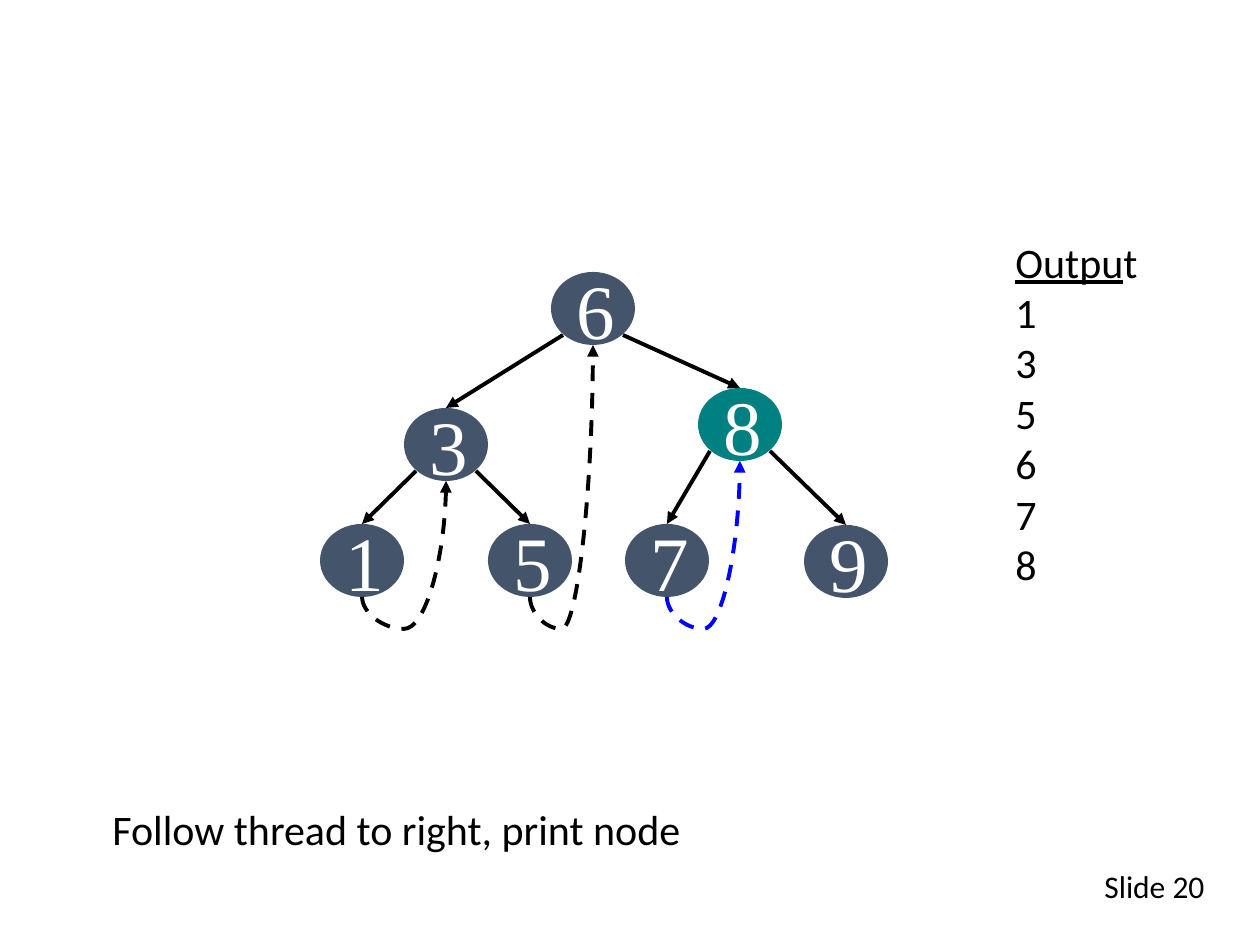
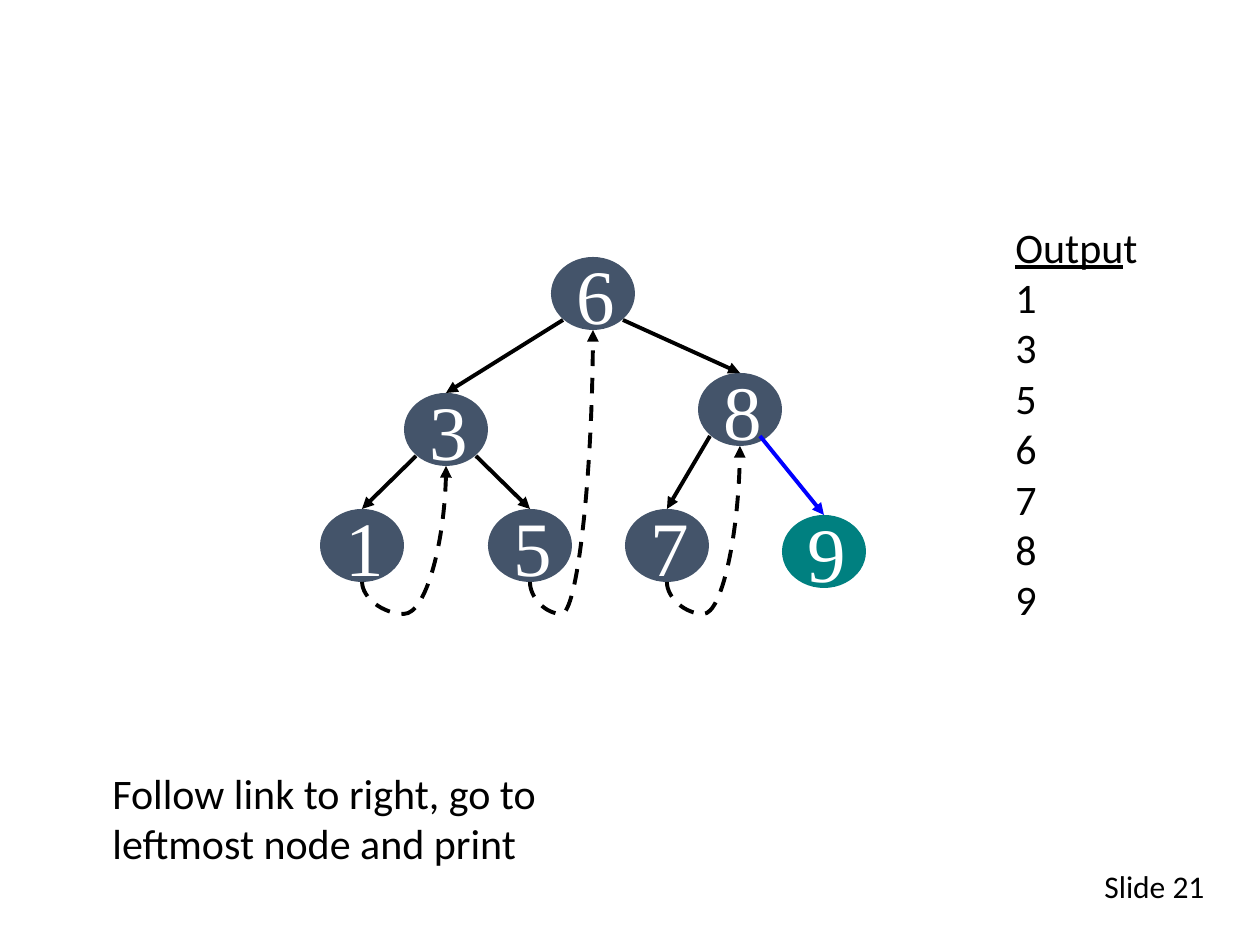
"""Build two slides that step through an in-order threaded tree traversal."""
from lxml import etree
from pptx import Presentation
from pptx.dml.color import RGBColor
from pptx.enum.dml import MSO_LINE
from pptx.enum.shapes import MSO_CONNECTOR, MSO_SHAPE
from pptx.enum.text import MSO_ANCHOR, PP_ALIGN
from pptx.oxml.ns import qn
from pptx.util import Emu, Pt

STRAIGHT, CURVE = MSO_CONNECTOR.STRAIGHT, MSO_CONNECTOR.CURVE
ELLIPSE, DASH = MSO_SHAPE.OVAL, MSO_LINE.DASH
MIDDLE, LEFT, CENTER = MSO_ANCHOR.MIDDLE, PP_ALIGN.LEFT, PP_ALIGN.CENTER
COLORS = {
    "text": "000000",
    "node": "44546A",
    "current": "008080",
    "label": "FFFFFF",
    "link": "000000",
    "followed": "0000FF",
}
NODE_WIDTH, NODE_HEIGHT = 84, 73
CORNER_X, CORNER_Y = 30, 63
THREAD_DIP = 32
NODES = {6: (551, 272), 3: (404, 408), 8: (698, 388),
         1: (320, 524), 5: (488, 524), 7: (625, 524)}
LINKS = [(6, 3), (6, 8), (3, 1), (3, 5), (8, 7), (8, 9)]
THREADS = [(1, 3), (5, 6), (7, 8)]
STEPS = [
    {"number": 20, "rise": 0, "current": 8, "followed": (7, 8),
     "nine": (804, 525), "nine_link_x": CORNER_X,
     "printed": [1, 3, 5, 6, 7, 8],
     "caption": "Follow thread to right, print node", "caption_box": (100, 797, 640, 63)},
    {"number": 21, "rise": 15, "current": 9, "followed": (8, 9),
     "nine": (782, 530), "nine_link_x": 20,
     "printed": [1, 3, 5, 6, 7, 8, 9],
     "caption": "Follow link to right, go to leftmost node and print",
     "caption_box": (100, 761, 588, 113)},
]


def px(*lengths):
    """Turn whole pixels into EMU."""
    return [Emu(round(length * 914400 / 126)) for length in lengths]


def write_text(frame, text, size=24, font="Calibri", color="text",
               align=LEFT, wrap=True, underlined=0):
    """Write lines of text, underlining the first characters of the first line."""
    frame.word_wrap = wrap
    for index, line in enumerate(text.split("\n")):
        paragraph = frame.paragraphs[0] if index == 0 else frame.add_paragraph()
        paragraph.alignment = align
        cut = underlined if index == 0 else 0
        for part, underline in ((line[:cut], True), (line[cut:], False)):
            if part:
                run = paragraph.add_run()
                run.text = part
                run.font.size = Pt(size)
                run.font.name = font
                run.font.underline = underline
                run.font.color.rgb = RGBColor.from_string(COLORS[color])


presentation = Presentation()
presentation.slide_width, presentation.slide_height = px(1260, 945)

for step in STEPS:
    slide = presentation.slides.add_slide(presentation.slide_layouts[6])
    rise = step["rise"]

    nodes = {value: (left, top - rise)
             for value, (left, top) in {**NODES, 9: step["nine"]}.items()}
    for value, (left, top) in nodes.items():
        node = slide.shapes.add_shape(ELLIPSE, *px(left, top, NODE_WIDTH, NODE_HEIGHT))
        node.shadow.inherit = False
        node.fill.solid()
        fill = "current" if value == step["current"] else "node"
        node.fill.fore_color.rgb = RGBColor.from_string(COLORS[fill])
        node.line.fill.background()
        node.text_frame.vertical_anchor = MIDDLE
        node.text_frame.margin_left, node.text_frame.margin_right = px(18, 12)
        write_text(node.text_frame, str(value), size=44, font="Times New Roman",
                   color="label", align=CENTER, wrap=False)

    for start, end in LINKS + THREADS:
        start_x, start_y = nodes[start][0] + NODE_WIDTH // 2, nodes[start][1]
        end_x, end_y = nodes[end][0] + NODE_WIDTH // 2, nodes[end][1]
        if (start, end) in LINKS:
            reach = step["nine_link_x"] if end == 9 else CORNER_X
            start_x += reach if end_x > start_x else -reach
            connector = slide.shapes.add_connector(
                STRAIGHT, *px(start_x, start_y + CORNER_Y, end_x, end_y))
        else:
            start_y += NODE_HEIGHT
            end_y += NODE_HEIGHT
            across, climb = end_x - start_x, start_y - end_y
            left = (start_x + end_x - climb) / 2
            top = (start_y + end_y - across) / 2
            connector = slide.shapes.add_connector(
                CURVE, *px(left + climb, top + across, left, top))
            properties = connector._element.spPr
            properties.find(qn("a:xfrm")).set("rot", "5400000")
            adjustments = properties.find(qn("a:prstGeom")).find(qn("a:avLst"))
            etree.SubElement(adjustments, qn("a:gd"), name="adj1",
                             fmla=f"val {round(-100000 * THREAD_DIP / climb)}")
            connector.line.dash_style = DASH
        color = "followed" if (start, end) == step["followed"] else "link"
        connector.line.color.rgb = RGBColor.from_string(COLORS[color])
        connector.line.width = Pt(2.25)
        etree.SubElement(connector.line._get_or_add_ln(), qn("a:tailEnd"), type="triangle")
        etree.SubElement(connector._element.spPr, qn("a:effectLst"))

    output = "\n".join(["Output", *map(str, step["printed"])])
    output_height = 13 + 50 * (len(step["printed"]) + 1)
    output_box = slide.shapes.add_textbox(*px(1003, 230 - rise, 168, output_height))
    write_text(output_box.text_frame, output, underlined=5)

    caption_box = slide.shapes.add_textbox(*px(*step["caption_box"]))
    write_text(caption_box.text_frame, step["caption"])

    number_box = slide.shapes.add_textbox(*px(1092, 861, 168, 53))
    write_text(number_box.text_frame, f"Slide {step['number']}", size=18)

presentation.save("out.pptx")
